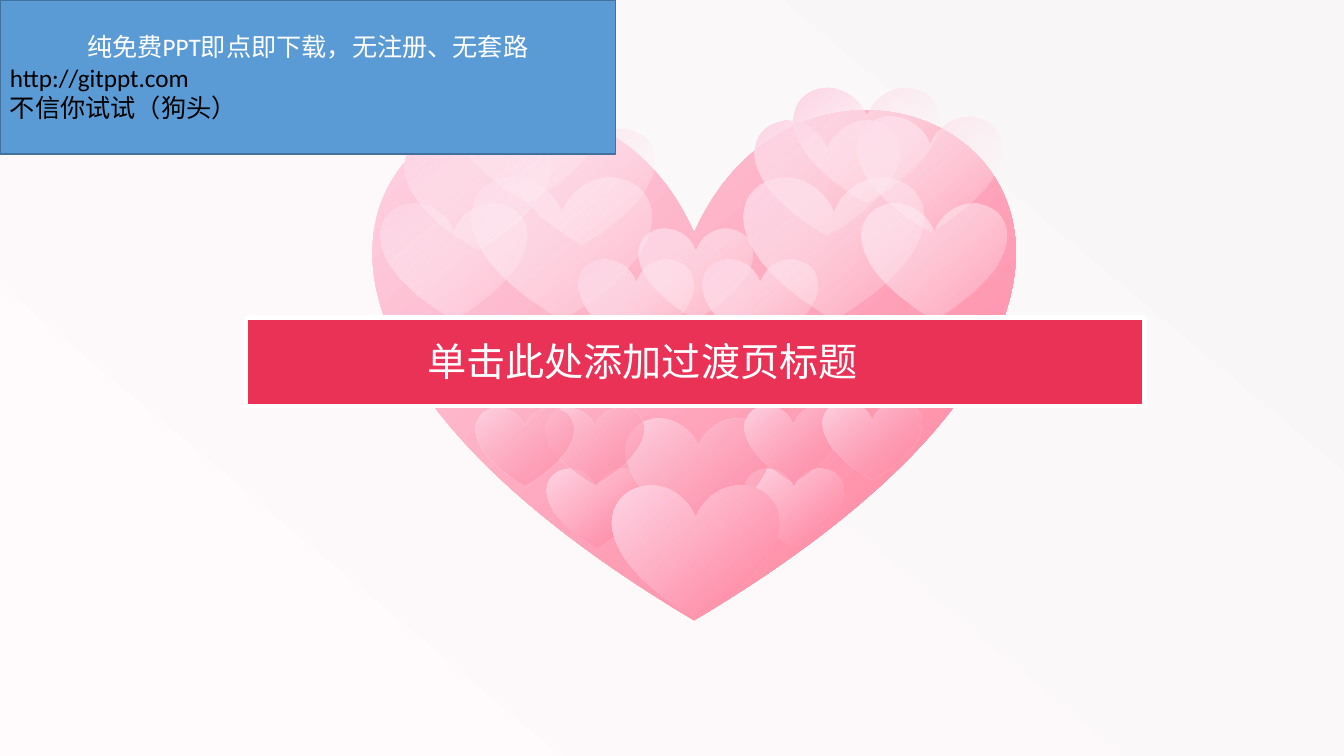
from pptx import Presentation
from pptx import util as u
from pptx.dml.color import RGBColor
from pptx.enum import shapes, text
from pptx.oxml.ns import qn
from lxml import etree

WHITE = RGBColor(0xFF, 0xFF, 0xFF)
BLACK = RGBColor(0, 0, 0)
BACK_GREY = RGBColor(0xF8, 0xF6, 0xF6)
BACK_PINK = RGBColor(0xFF, 0xFB, 0xFC)
PALE_PINK = RGBColor(0xFE, 0xD3, 0xE4)
ROSE = RGBColor(0xFE, 0x80, 0x9B)
CRIMSON = RGBColor(0xEA, 0x32, 0x57)
BLUE = RGBColor(0x5B, 0x9B, 0xD5)
NAVY = RGBColor(0x41, 0x71, 0x9C)
CJK = "Noto Sans CJK SC"
HEART_RATIO = 0.808

SOLID_HEARTS = [(3.72, 1.03, 6.34), (7.39, 4.64, 0.98), (5.43, 4.64, 0.98)]
SOFT_HEARTS = [(6.21, 4.14, 1.43), (7.39, 4.01, 0.96), (5.42, 4.03, 0.96),
               (4.72, 4.03, 0.97), (8.17, 3.97, 0.97)]
FRONT_HEARTS = [(6.08, 4.8, 1.65)]
FADING_HEARTS = [(8.56, 2.01, 1.43), (7.39, 1.74, 1.77), (6.34, 2.26, 1.13),
                 (6.98, 2.56, 1.13), (4.69, 1.74, 1.77), (3.78, 2.01, 1.44),
                 (5.75, 2.56, 1.13), (4.02, 1.31, 1.44), (5.05, 1.26, 1.44),
                 (4.52, 0.85, 1.44), (7.49, 1.18, 1.43), (8.52, 1.14, 1.43),
                 (7.88, 0.85, 1.44)]


def write(p, content, size=18, font="Calibri", color=WHITE, align=text.PP_ALIGN.LEFT):
    p.alignment = align
    r = p.add_run()
    r.text = content
    r.font.size = u.Pt(size)
    r.font.name = font
    r.font.color.rgb = color
    latin = r.font._element.find(qn("a:latin"))
    ea = etree.Element(qn("a:ea"), typeface=CJK)
    latin.addnext(ea)


class HeartSlide:
    """Draws the parts of the heart-themed section slide."""

    def __init__(self, prs):
        self.s = prs.slides.add_slide(prs.slide_layouts[5])

    def shape(self, kind, left, top, width, height):
        sp = self.s.shapes.add_shape(kind, *map(u.Inches, (left, top, width, height)))
        sp.shadow.inherit = False
        sp.line.fill.background()
        return sp

    def gradient(self, sp, start, end, angle, end_alpha=100):
        sp.fill.gradient()
        sp.fill.gradient_angle = 360 - angle
        for stop, color, position in zip(sp.fill.gradient_stops, (start, end), (0, 1)):
            stop.color.rgb = color
            stop.position = position
        if end_alpha < 100:
            clr = sp._element.spPr.findall(".//" + qn("a:srgbClr"))[-1]
            etree.SubElement(clr, qn("a:alpha"), val=str(end_alpha * 1000))

    def backdrop(self):
        sp = self.shape(shapes.MSO_SHAPE.RECTANGLE, 0, 0, 13.34, 7.5)
        self.gradient(sp, BACK_GREY, BACK_PINK, 130)

    def hearts(self, places, end=ROSE, end_alpha=100):
        for left, top, width in places:
            sp = self.shape(shapes.MSO_SHAPE.HEART, left, top, width, width * HEART_RATIO)
            self.gradient(sp, PALE_PINK, end, 50, end_alpha)

    def box(self, left, top, width, height, fill, line, weight):
        sp = self.shape(shapes.MSO_SHAPE.RECTANGLE, left, top, width, height)
        sp.fill.solid()
        sp.fill.fore_color.rgb = fill
        sp.line.color.rgb = line
        sp.line.width = u.Pt(weight)
        return sp

    def title(self, content, left, top, width, height):
        sp = self.s.shapes.title
        sp.left, sp.top, sp.width, sp.height = map(u.Inches, (left, top, width, height))
        tf = sp.text_frame
        tf.word_wrap = False
        tf.auto_size = text.MSO_AUTO_SIZE.NONE
        tf.vertical_anchor = text.MSO_ANCHOR.TOP
        write(tf.paragraphs[0], content, size=28, font=CJK)
        self.s.shapes.element.append(sp._element)

    def notice(self, heading, lines):
        tf = self.box(0, 0, 6.11, 1.53, BLUE, NAVY, 1).text_frame
        tf.word_wrap = True
        tf.vertical_anchor = text.MSO_ANCHOR.MIDDLE
        write(tf.paragraphs[0], heading, align=text.PP_ALIGN.CENTER)
        for line in lines:
            write(tf.add_paragraph(), line, color=BLACK)


def main():
    prs = Presentation()
    prs.slide_width, prs.slide_height = u.Inches(13.34), u.Inches(7.5)
    slide = HeartSlide(prs)
    slide.backdrop()
    slide.hearts(SOLID_HEARTS)
    slide.hearts(SOFT_HEARTS, end_alpha=45)
    slide.hearts(FRONT_HEARTS)
    slide.hearts(FADING_HEARTS, end=WHITE, end_alpha=0)
    slide.box(2.44, 3.15, 8.92, 0.88, CRIMSON, WHITE, 3)
    slide.title("单击此处添加过渡页标题", 4.14, 3.3, 4.7, 0.57)
    slide.notice("纯免费PPT即点即下载，无注册、无套路",
                 ["http://gitppt.com", "不信你试试（狗头）"])
    prs.save("out.pptx")


if __name__ == "__main__":
    main()
